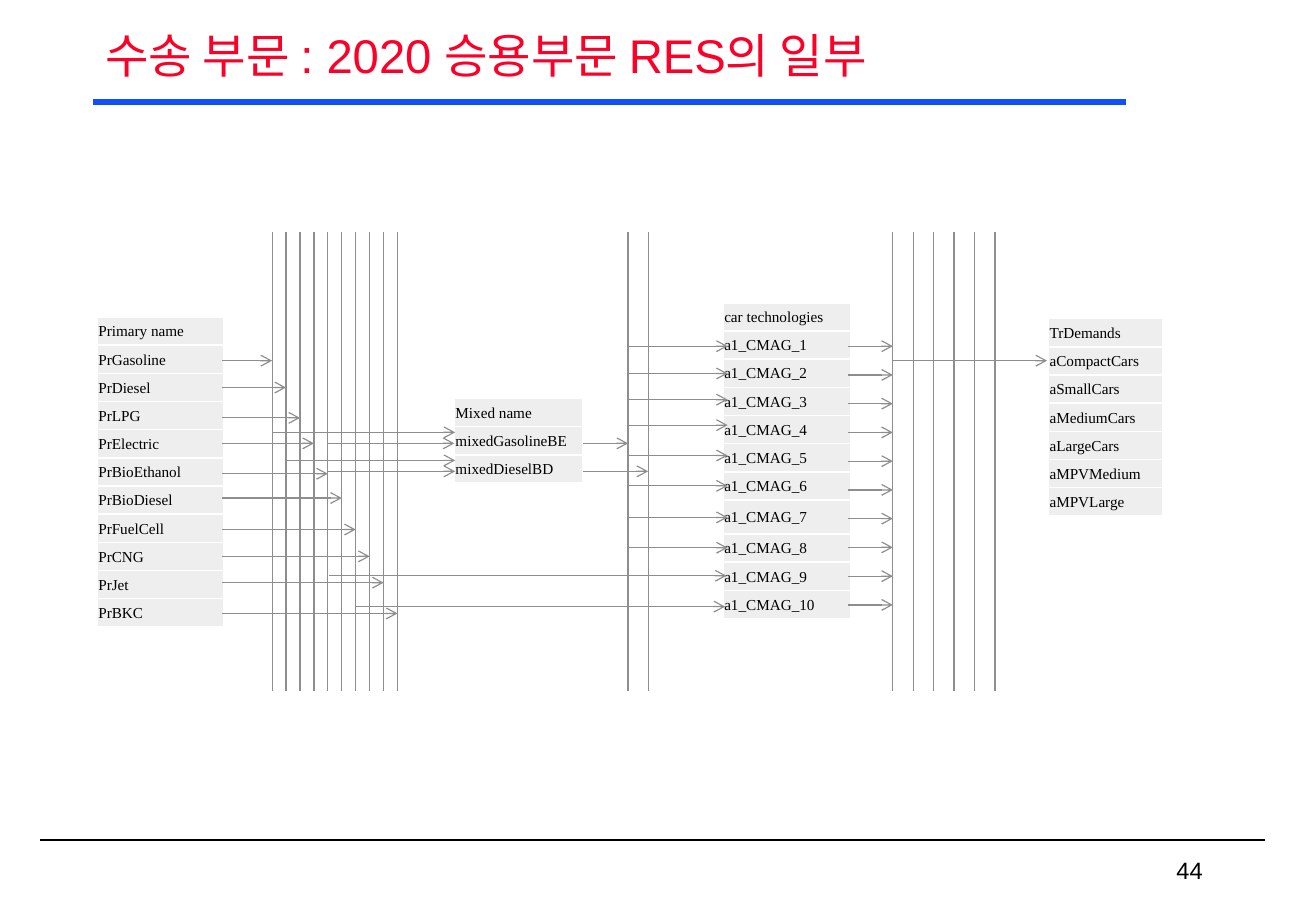
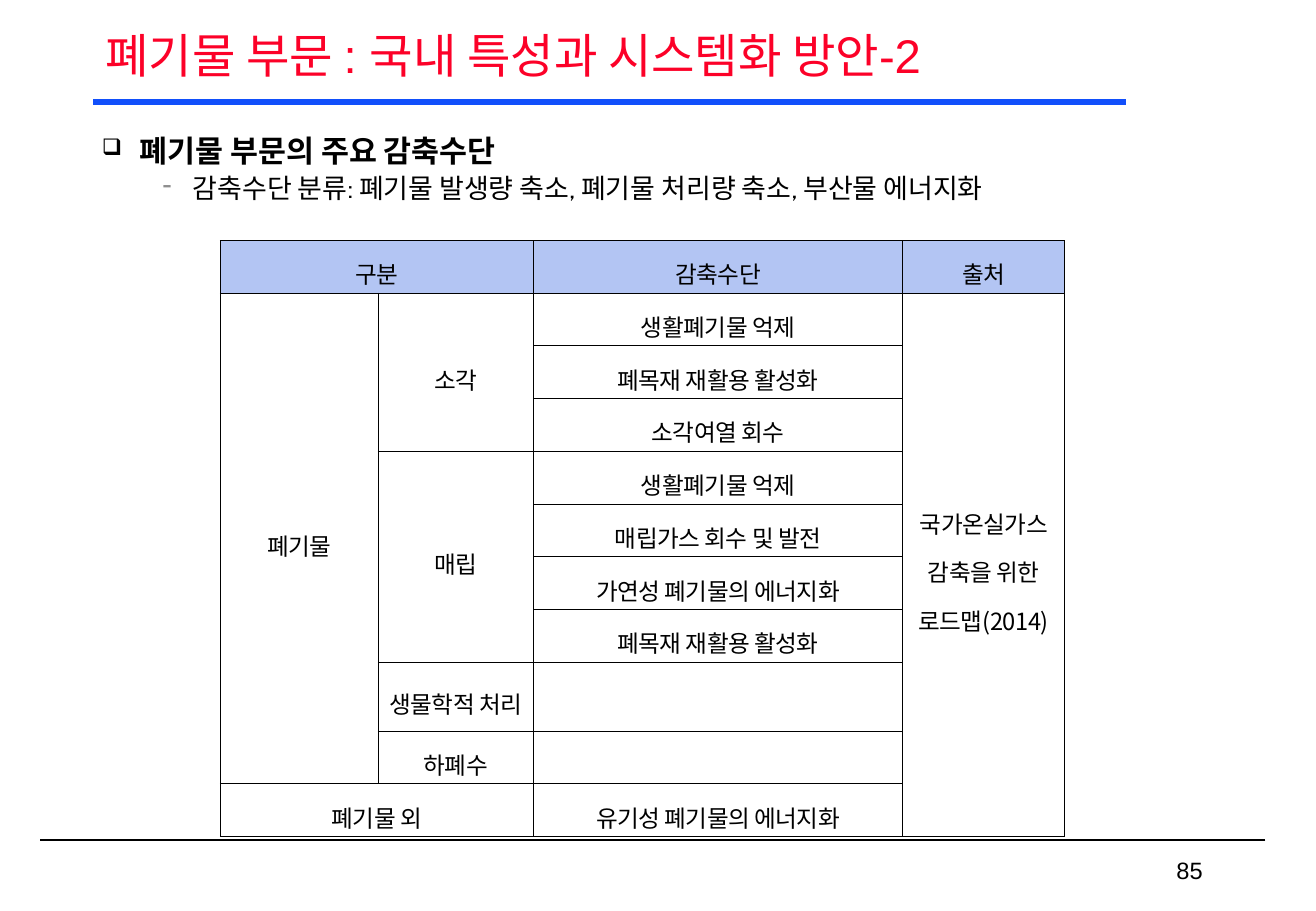
from dataclasses import dataclass

from lxml import etree
from pptx import Presentation
from pptx import util as u
from pptx.dml.color import RGBColor
from pptx.enum import shapes, text
from pptx.oxml import ns

Pt = u.Pt


@dataclass(frozen=True)
class Theme:
    title: str = "FC0128"
    rule: str = "114FFB"
    ink: str = "000000"
    flow: str = "8E8E8E"
    label_fill: str = "EEEEEE"
    header_fill: str = "B3C5F3"
    white: str = "FFFFFF"
    sans: str = "Arial"
    serif: str = "Times New Roman"
    body: str = "Cabin"
    korean: str = "Noto Sans CJK KR"
    title_size: float = 28
    lead_size: float = 18
    point_size: float = 16
    cell_size: float = 14
    label_size: float = 9


THEME = Theme()

# Content: energy flow diagram
FLOW_TITLE = "수송 부문 : 2020 승용부문 RES의 일부"
ROW = 16.7
# left, top, width, labels, heights of rows that differ
LABEL_TABLES = [
    (57.6, 187.9, 74.9,
     ["Primary name", "PrGasoline", "PrDiesel", "PrLPG", "PrElectric", "PrBioEthanol",
      "PrBioDiesel", "PrFuelCell", "PrCNG", "PrJet", "PrBKC"], {}),
    (269.3, 236.2, 76.3, ["Mixed name", "mixedGasolineBE", "mixedDieselBD"], {}),
    (428.6, 179.5, 75.6,
     ["car technologies"] + [f"a1_CMAG_{n}" for n in range(1, 11)], {7: 20.2}),
    (621.4, 188.9, 67.7,
     ["TrDemands", "aCompactCars", "aSmallCars", "aMediumCars", "aLargeCars",
      "aMPVMedium", "aMPVLarge"], {}),
]
RULE_TOP, RULE_BOTTOM = 137.5, 409.5
# first x, step, count
FUEL_RULES, MIXED_RULES, DEMAND_RULES = (161.3, 8.26, 10), (372.3, 11.9, 2), (529.2, 12.1, 6)
PRIMARY_RIGHT, CAR_LEFT, CAR_RIGHT = 131.8, 431.3, 502.6
PRIMARY_YS = [213.8, 229.7, 247.7, 262.8, 280.8, 295.2, 313.9, 329.8, 345.4, 363.6]
CAR_IN_YS = [205.2, 221.4, 236.9, 252, 270, 288, 306.7, 324.7]
CAR_OUT_TOP, CAR_OUT_STEP = 205.2, 17.04
# from x, to x, y
OTHER_FLOWS = [
    (161.8, 269.8, 256.3), (169.5, 269.8, 272.9), (194.4, 269.3, 262.8),
    (194.4, 269.8, 279.4), (345.6, 372.3, 262.8), (345.6, 384.2, 279.4),
    (195.1, 430.6, 341.3), (210.2, 429.8, 359.6), (529.2, 620.6, 213.8),
]

# Content: waste measures
WASTE_TITLE = "폐기물 부문 : 국내 특성과 시스템화 방안-2"
LEAD = "폐기물 부문의 주요 감축수단"
POINT = "감축수단 분류: 폐기물 발생량 축소, 폐기물 처리량 축소, 부산물 에너지화"
MEASURES = [
    ["구분", "", "감축수단", "출처"],
    ["폐기물", "소각", "생활폐기물 억제", ""],
    ["", "", "폐목재 재활용 활성화", ""],
    ["", "", "소각여열 회수", ""],
    ["", "매립", "생활폐기물 억제", ""],
    ["", "", "매립가스 회수 및 발전", ""],
    ["", "", "가연성 폐기물의 에너지화", ""],
    ["", "", "폐목재 재활용 활성화", ""],
    ["", "생물학적 처리", "", ""],
    ["", "하폐수", "", ""],
    ["폐기물 외", "", "유기성 폐기물의 에너지화", ""],
]
SOURCE = "국가온실가스 감축을 위한 로드맵(2014)"
SOURCE_CELL = (1, 3)
# first row, first column, last row, last column
MERGES = [(0, 0, 0, 1), (1, 0, 9, 0), (1, 1, 3, 1), (4, 1, 7, 1), (1, 3, 10, 3),
          (10, 0, 10, 1)]
MEASURE_COLS = [93.6, 92.2, 218.6, 96.2]
MEASURE_ROWS = [41 if row == 8 else 31.25 for row in range(len(MEASURES))]


def add_xml(parent, tag, **attributes):
    return etree.SubElement(parent, ns.qn(tag), attributes)


def write(para, words, *, size, font, color=THEME.ink, bold=False, align=None,
          line=None, after=None, tracking=None):
    """Add one formatted span to a paragraph."""
    if align is not None:
        para.alignment = align
    if line:
        para.line_spacing = line
    if after:
        para.space_after = Pt(after)
    span = para.add_run()
    span.text = words
    span.font.size, span.font.name, span.font.bold = Pt(size), font, bold
    span.font.color.rgb = RGBColor.from_string(color)
    props = span.font._element
    add_xml(props, "a:ea", typeface=THEME.korean)
    if tracking:
        props.set("spc", str(round(tracking * 100)))


def add_bullet(para, char, color, margin, hang, percent=100):
    props = para._p.get_or_add_pPr()
    props.set("marL", str(Pt(margin)))
    props.set("indent", str(-Pt(hang)))
    add_xml(add_xml(props, "a:buClr"), "a:srgbClr", val=color)
    add_xml(props, "a:buSzPct", val=str(percent * 1000))
    add_xml(props, "a:buChar", char=char)


def add_line(page, x1, y1, x2, y2, color=THEME.flow, width=0.75, arrow=False):
    line = page.shapes.add_connector(shapes.MSO_CONNECTOR.STRAIGHT,
                                     Pt(x1), Pt(y1), Pt(x2), Pt(y2))
    line.line.color.rgb = RGBColor.from_string(color)
    line.line.width = Pt(width)
    if arrow:
        add_xml(line.line._get_or_add_ln(), "a:tailEnd", type="arrow")
    add_xml(line._element.spPr, "a:effectLst")


def add_grid(page, left, top, cols, rows, border, border_width, insets):
    """Add an unstyled table with uniform borders and cell margins."""
    table = page.shapes.add_table(len(rows), len(cols), Pt(left), Pt(top),
                                  Pt(sum(cols)), Pt(sum(rows))).table
    table.first_row = table.horz_banding = False
    for column, width in zip(table.columns, cols):
        column.width = Pt(width)
    for row, height in zip(table.rows, rows):
        row.height = Pt(height)
    for cell in table.iter_cells():
        cell.margin_left, cell.margin_top, cell.margin_right, cell.margin_bottom = map(Pt, insets)
        cell.vertical_anchor = text.MSO_ANCHOR.MIDDLE
        props = cell._tc.get_or_add_tcPr()
        for side in ("a:lnL", "a:lnR", "a:lnT", "a:lnB"):
            edge = add_xml(props, side, w=str(Pt(border_width)))
            add_xml(add_xml(edge, "a:solidFill"), "a:srgbClr", val=border)
        cell.fill.background()
    return table


def fill_cell(cell, color):
    cell.fill.solid()
    cell.fill.fore_color.rgb = RGBColor.from_string(color)


def add_page(deck, title, number):
    """Add a slide with the shared title, rules and page number."""
    page = deck.slides.add_slide(deck.slide_layouts[5])
    add_line(page, 750, 498, 24, 498, THEME.ink, 1)
    add_line(page, 55.4, 60.5, 667.4, 60.5, THEME.rule, 3.75)

    box = page.shapes.title
    box.left, box.top, box.width, box.height = Pt(55.4), Pt(12.2), Pt(668.9), Pt(44.6)
    frame = box.text_frame
    frame.auto_size = text.MSO_AUTO_SIZE.NONE
    frame.vertical_anchor = text.MSO_ANCHOR.MIDDLE
    write(frame.paragraphs[0], title, size=THEME.title_size, font=THEME.sans,
          color=THEME.title, align=text.PP_ALIGN.JUSTIFY, line=0.9)

    frame = page.shapes.add_textbox(Pt(558), Pt(504), Pt(162), Pt(23.8)).text_frame
    frame.word_wrap = True
    frame.vertical_anchor = text.MSO_ANCHOR.MIDDLE
    write(frame.paragraphs[0], number, size=THEME.cell_size, font=THEME.sans,
          align=text.PP_ALIGN.RIGHT)
    return page


def build_flow(deck):
    page = add_page(deck, FLOW_TITLE, "44")

    # Label tables
    for left, top, width, labels, special in LABEL_TABLES:
        rows = [special.get(i, ROW) for i in range(len(labels))]
        table = add_grid(page, left, top, [width], rows, THEME.white, 1, (0.7, 0.7, 0.7, 0))
        for cell, label in zip(table.iter_cells(), labels):
            fill_cell(cell, THEME.label_fill)
            write(cell.text_frame.paragraphs[0], label, size=THEME.label_size, font=THEME.serif)

    # Vertical rules
    fuel_xs, mixed_xs, demand_xs = (
        [first + step * i for i in range(count)]
        for first, step, count in (FUEL_RULES, MIXED_RULES, DEMAND_RULES))
    for x in fuel_xs + mixed_xs + demand_xs:
        add_line(page, x, RULE_TOP, x, RULE_BOTTOM)

    # Flow arrows
    flows = [(PRIMARY_RIGHT, x, y) for x, y in zip(fuel_xs, PRIMARY_YS)]
    flows += [(mixed_xs[0], CAR_LEFT, y) for y in CAR_IN_YS]
    flows += [(CAR_RIGHT, demand_xs[0], CAR_OUT_TOP + CAR_OUT_STEP * i) for i in range(10)]
    for start, end, y in flows + OTHER_FLOWS:
        add_line(page, start, y, end, y, arrow=True)


def build_waste(deck):
    page = add_page(deck, WASTE_TITLE, "85")

    # Bulleted text
    frame = page.shapes.add_textbox(Pt(53.3), Pt(70.6), Pt(671.8), Pt(70)).text_frame
    frame.word_wrap = True
    lead, point = frame.paragraphs[0], frame.add_paragraph()
    add_bullet(lead, "❑", THEME.ink, 22.5, 22.5, 75)
    write(lead, LEAD, size=THEME.lead_size, font=THEME.body, bold=True, line=1.2, after=3.6)
    point.level = 1
    add_bullet(point, "-", THEME.flow, 54, 18)
    write(point, POINT, size=THEME.point_size, font=THEME.body, line=0.9, after=3.2)

    # Measures table
    table = add_grid(page, 130.5, 142.4, MEASURE_COLS, MEASURE_ROWS, THEME.ink, 0.28,
                     (5, 1.4, 5, 1.4))
    for bounds in MERGES:
        table.cell(*bounds[:2]).merge(table.cell(*bounds[2:]))
    for r, row in enumerate(MEASURES):
        for c, words in enumerate(row):
            cell, font = table.cell(r, c), THEME.serif
            if r == 0:
                fill_cell(cell, THEME.header_fill)
            if (r, c) == SOURCE_CELL:
                words, font = SOURCE, THEME.korean
            if words:
                write(cell.text_frame.paragraphs[0], words, size=THEME.cell_size, font=font,
                      align=text.PP_ALIGN.CENTER, line=1.4, tracking=-0.3)


def main():
    deck = Presentation()
    deck.slide_width, deck.slide_height = Pt(780), Pt(540)
    build_flow(deck)
    build_waste(deck)
    deck.save("out.pptx")


if __name__ == "__main__":
    main()
